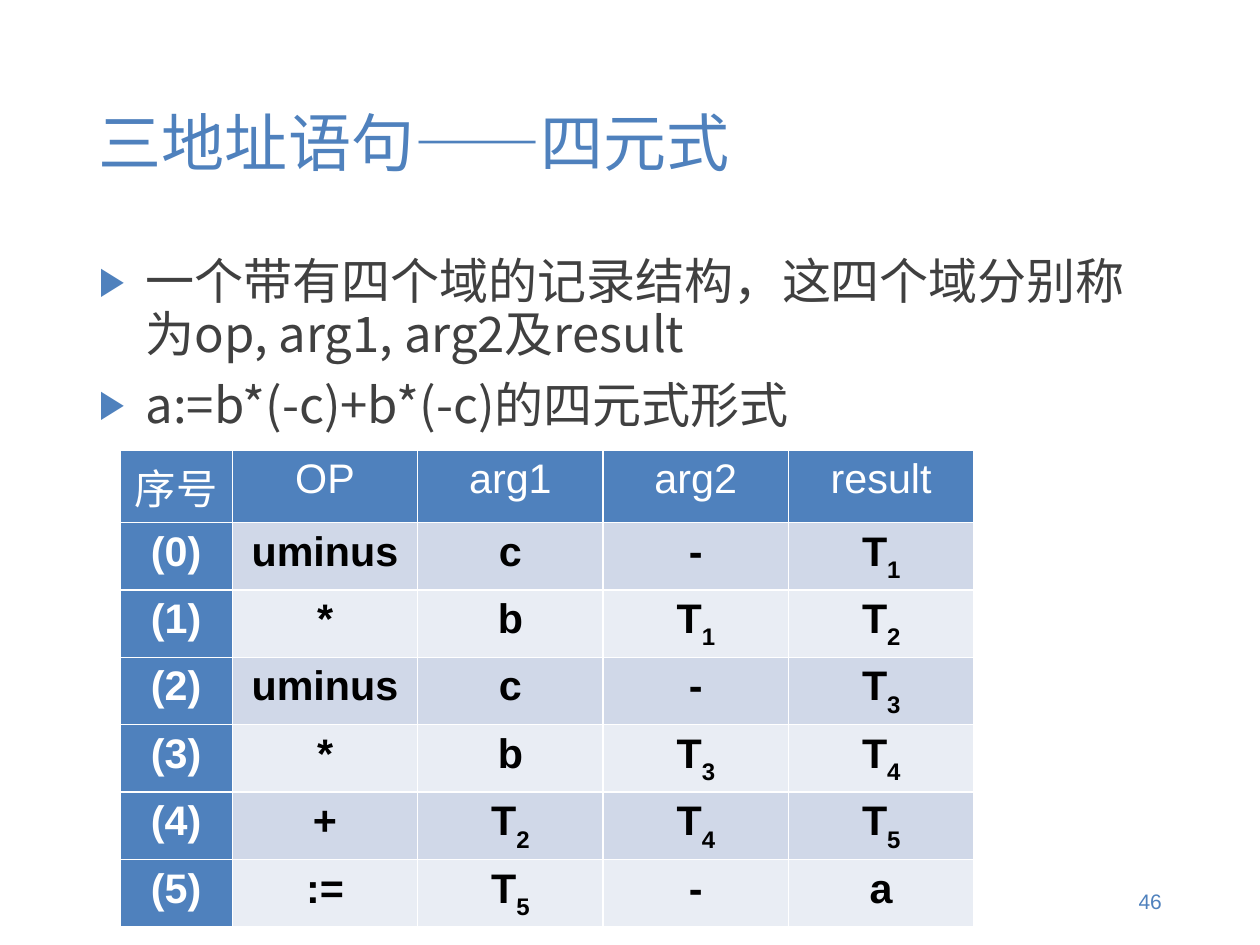
"""Build the slide on quadruples for three-address statements."""
from lxml.etree import SubElement as Sub
from pptx import Presentation
from pptx.dml.color import RGBColor
from pptx.enum.text import MSO_ANCHOR as Anchor, MSO_AUTO_SIZE as Fit, PP_ALIGN as Align
from pptx.oxml.ns import qn
from pptx.util import Pt

TITLE = "三地址语句——四元式"
BODY = [
    "一个带有四个域的记录结构，这四个域分别称为op, arg1, arg2及result",
    "a:=b*(-c)+b*(-c)的四元式形式",
]
HEAD = ["序号", "OP", "arg1", "arg2", "result"]
QUADS = [
    ("uminus", "c", "-", "T1"),
    ("*", "b", "T1", "T2"),
    ("uminus", "c", "-", "T3"),
    ("*", "b", "T3", "T4"),
    ("+", "T2", "T4", "T5"),
    (":=", "T5", "-", "a"),
]
PAGE = "46"
CJK, LATIN = "Noto Sans CJK SC", "Arial"
BLUE, GREY, WHITE, BLACK = "4F81BD", "404040", "FFFFFF", "000000"
BANDS = ["D0D8E8", "E9EDF4"]
WIDTHS = [70.8] + [116.8] * 4
ROW = 39.7
SIDE, EDGE = 7.9, 3.95


def color(code):
    return RGBColor.from_string(code)


def style(run, size, name, code, bold=False):
    font = run.font
    font.size, font.name, font.bold = Pt(size), name, bold
    font.color.rgb = color(code)
    Sub(run._r.get_or_add_rPr(), qn("a:ea"), typeface=CJK)


def inset(part):
    part.margin_left = part.margin_right = Pt(SIDE)
    part.margin_top = part.margin_bottom = Pt(EDGE)


def setup(shape, box, anchor):
    shape.left, shape.top, shape.width, shape.height = map(Pt, box)
    frame = shape.text_frame
    frame.word_wrap, frame.auto_size = True, Fit.NONE
    frame.vertical_anchor = anchor
    inset(frame)
    return frame


def bullet(para):
    props = para._p.get_or_add_pPr()
    props.set("marL", str(Pt(29.5)))
    props.set("indent", str(-Pt(29.5)))
    tint = Sub(props, qn("a:buClr"))
    Sub(tint, qn("a:srgbClr"), val=BLUE)
    Sub(props, qn("a:buSzPct"), val="80000")
    Sub(props, qn("a:buFont"), typeface=LATIN)
    Sub(props, qn("a:buChar"), char="▶")


def border(cell):
    props = cell._tc.get_or_add_tcPr()
    for side in ("lnL", "lnR", "lnT", "lnB"):
        line = Sub(props, qn("a:" + side), w=str(Pt(1)))
        Sub(Sub(line, qn("a:solidFill")), qn("a:srgbClr"), val=WHITE)


def fill(cell, text, back, code, bold):
    border(cell)
    cell.fill.solid()
    cell.fill.fore_color.rgb = color(back)
    inset(cell)
    para = cell.text_frame.paragraphs[0]
    para.alignment = Align.CENTER
    temp = text[0] == "T"
    for part in text if temp else [text]:
        run = para.add_run()
        run.text = part
        style(run, 26, LATIN, code, bold)
        if temp and part != "T":
            run._r.get_or_add_rPr().set("baseline", "-30000")


def main():
    deck = Presentation()
    deck.slide_width, deck.slide_height = Pt(793.75), Pt(595.25)
    slide = deck.slides.add_slide(deck.slide_layouts[5])
    shapes = slide.shapes

    frame = setup(shapes.title, (54.4, 31.4, 684.7, 115.2), Anchor.MIDDLE)
    frame.text = TITLE
    para = frame.paragraphs[0]
    para.alignment = Align.LEFT
    style(para.runs[0], 39.7, CJK, BLUE)

    box = (54.4, 158.1, 684.7, 378)
    frame = setup(shapes.add_textbox(0, 0, 0, 0), box, Anchor.TOP)
    for i, text in enumerate(BODY):
        para = frame.add_paragraph() if i else frame.paragraphs[0]
        para.text = text
        para.line_spacing = 0.9
        para.space_before = Pt(11 if i else 0)
        bullet(para)
        style(para.runs[0], 30.9, CJK, GREY)

    rows = [HEAD] + [(f"({i})", *quad) for i, quad in enumerate(QUADS)]
    grid = shapes.add_table(len(rows), len(HEAD), Pt(75.6), Pt(283.6),
                            Pt(sum(WIDTHS)), Pt(ROW * len(rows))).table
    grid.first_col = True
    for col, width in zip(grid.columns, WIDTHS):
        col.width = Pt(width)
    for r, row in enumerate(rows):
        grid.rows[r].height = Pt(ROW)
        for c, text in enumerate(row):
            edge = r == 0 or c == 0
            back = BLUE if edge else BANDS[(r - 1) % 2]
            fill(grid.cell(r, c), text, back, WHITE if edge else BLACK, r > 0)

    box = (561.2, 551.5, 178.6, 31.7)
    frame = setup(shapes.add_textbox(0, 0, 0, 0), box, Anchor.MIDDLE)
    frame.text = PAGE
    para = frame.paragraphs[0]
    para.alignment = Align.RIGHT
    style(para.runs[0], 13.2, LATIN, BLUE)

    deck.save("out.pptx")


if __name__ == "__main__":
    main()
